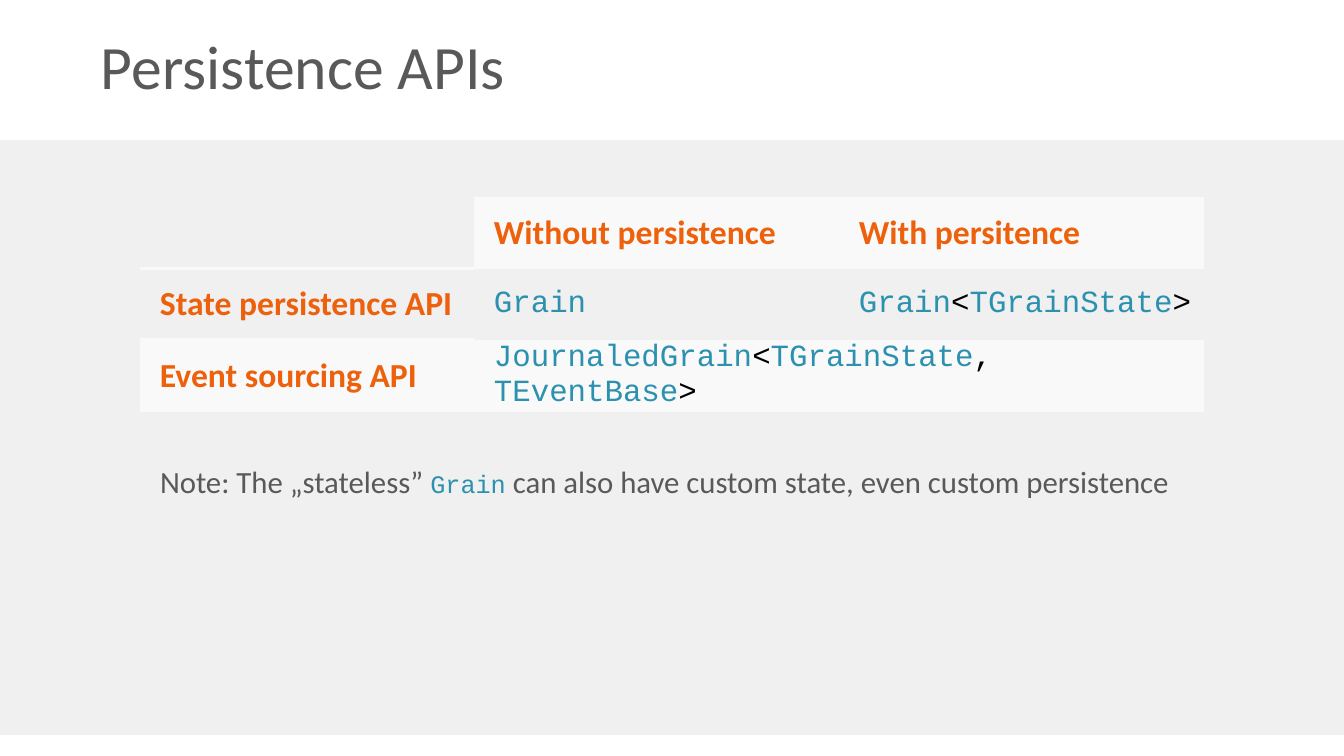
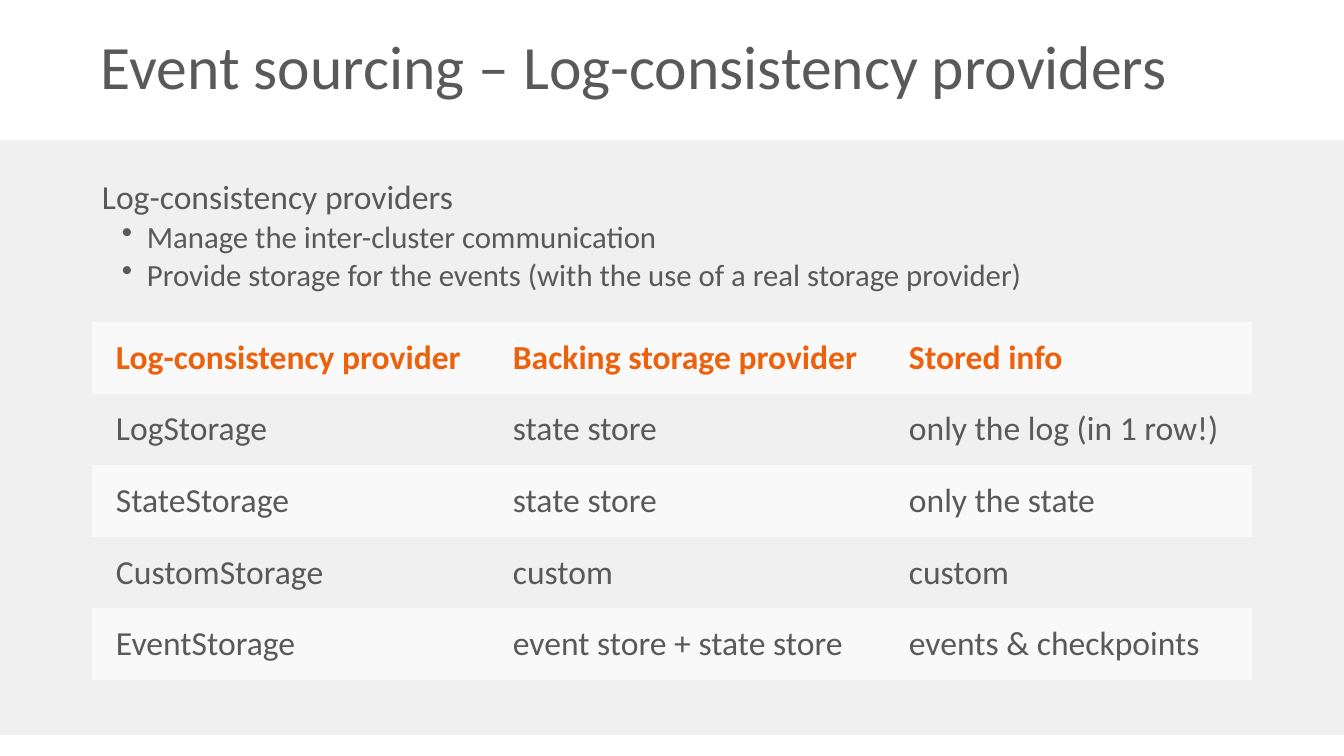
from dataclasses import dataclass

from lxml import etree
from pptx import Presentation
from pptx.dml.color import RGBColor
from pptx.enum.shapes import MSO_SHAPE
from pptx.enum.text import MSO_ANCHOR, MSO_AUTO_SIZE, PP_ALIGN
from pptx.oxml.ns import qn
from pptx.util import Emu, Pt

RECTANGLE = MSO_SHAPE.RECTANGLE
MIDDLE = MSO_ANCHOR.MIDDLE
LEFT = PP_ALIGN.LEFT
NO_AUTOFIT = MSO_AUTO_SIZE.NONE

PAGE_WIDTH, PAGE_HEIGHT = 1344, 756
EMU_PER_PIXEL = 12192000 / PAGE_WIDTH
TITLE_ONLY = 5
PLAIN_TABLE_STYLE = "{2D5ABB26-0587-4C30-8999-92F81FD0307C}"


@dataclass(frozen=True)
class TextStyle:
    """Font, size in points, colour and weight of a piece of text."""

    font: str
    size: int
    colour: str
    bold: bool = False


@dataclass(frozen=True)
class Theme:
    """Colours and text styles that the slides share."""

    page: str = "F0F0F0"
    band: str = "FFFFFF"
    stripe: str = "F9F9F9"
    title: TextStyle = TextStyle("Calibri", 44, "595959")
    body: TextStyle = TextStyle("Calibri", 24, "595959")
    detail: TextStyle = TextStyle("Calibri", 22, "595959")
    heading: TextStyle = TextStyle("Calibri", 24, "ED610C", True)
    type_name: TextStyle = TextStyle("Courier New", 22, "2B91AF")
    small_type_name: TextStyle = TextStyle("Courier New", 18, "2B91AF")
    symbol: TextStyle = TextStyle("Courier New", 22, "000000")


THEME = Theme()


def px(pixels):
    """Turn pixels into EMU."""
    return Emu(round(pixels * EMU_PER_PIXEL))


def paint(item, colour):
    """Give a shape, cell or background a solid fill."""
    item.fill.solid()
    item.fill.fore_color.rgb = RGBColor.from_string(colour)


def apply_style(font, style):
    """Set a font to a text style."""
    font.name = style.font
    font.size = Pt(style.size)
    font.bold = style.bold
    font.color.rgb = RGBColor.from_string(style.colour)


def write_para(para, *spans):
    """Fill a paragraph with (text, style) spans."""
    styles = {style for _, style in spans}
    if len(styles) == 1:
        apply_style(para.font, spans[0][1])
    for text, style in spans:
        span = para.add_run()
        span.text = text
        if len(styles) > 1:
            apply_style(span.font, style)


def set_margins(item, left, top, right, bottom):
    """Set the inner margins of a text frame or cell."""
    item.margin_left, item.margin_top = px(left), px(top)
    item.margin_right, item.margin_bottom = px(right), px(bottom)


def add_page(deck, title):
    """Add a slide with the title band and the footer band."""
    page = deck.slides.add_slide(deck.slide_layouts[TITLE_ONLY])
    footer = page.shapes.add_shape(RECTANGLE, 0, px(735), px(PAGE_WIDTH), px(21))
    footer.shadow.inherit = False
    paint(footer, THEME.band)
    footer.line.fill.background()

    heading = page.shapes.title
    heading.left, heading.top = 0, 0
    heading.width, heading.height = px(PAGE_WIDTH), px(140)
    paint(heading, THEME.band)
    frame = heading.text_frame
    frame.auto_size = NO_AUTOFIT
    frame.vertical_anchor = MIDDLE
    set_margins(frame, 101, 5, 10, 5)
    para = frame.paragraphs[0]
    para.alignment = LEFT
    para.line_spacing = 0.9
    write_para(para, (title, THEME.title))
    return page


def add_text(page, left, top, width, height, inset=10):
    """Add a wrapping text box and return its frame."""
    box = page.shapes.add_textbox(px(left), px(top), px(width), px(height))
    frame = box.text_frame
    frame.word_wrap = True
    set_margins(frame, inset, 5, 10, 5)
    return frame


def add_bullet(frame, text):
    """Add an indented bullet paragraph."""
    para = frame.add_paragraph()
    properties = para._p.get_or_add_pPr()
    properties.set("marL", str(px(45)))
    properties.set("indent", str(px(-25)))
    etree.SubElement(properties, qn("a:buChar"), char="•")
    para.line_spacing = 0.8
    para.space_before = Pt(6)
    write_para(para, (text, THEME.detail))


def add_table(page, left, top, widths, height, rows, margins):
    """Add a striped table; each cell is a list of spans."""
    shape = page.shapes.add_table(
        len(rows), len(widths), px(left), px(top), px(sum(widths)), px(height))
    table = shape.table
    table.first_row = table.horz_banding = False
    table._tbl.tblPr.find(qn("a:tableStyleId")).text = PLAIN_TABLE_STYLE
    for column, width in zip(table.columns, widths):
        column.width = px(width)
    for index, row in enumerate(rows):
        table.rows[index].height = px(height / len(rows))
        for column, spans in enumerate(row):
            cell = table.cell(index, column)
            cell.vertical_anchor = MIDDLE
            set_margins(cell, margins[0], 0, margins[1], 0)
            if index % 2 == 0:
                paint(cell, THEME.stripe)
            else:
                cell.fill.background()
            if spans:
                write_para(cell.text_frame.paragraphs[0], *spans)
    return table


def add_border(cell, edge, colour, points):
    """Draw one edge of a table cell."""
    line = etree.Element(qn(f"a:{edge}"), w=str(Pt(points)))
    fill = etree.SubElement(line, qn("a:solidFill"))
    etree.SubElement(fill, qn("a:srgbClr"), val=colour)
    cell._tc.get_or_add_tcPr().insert(0, line)


def generic_type(name, *arguments):
    """Return the coloured spans of a generic type."""
    spans = [(name, THEME.type_name)]
    for index, argument in enumerate(arguments):
        spans.append((", " if index else "<", THEME.symbol))
        spans.append((argument, THEME.type_name))
    if arguments:
        spans.append((">", THEME.symbol))
    return spans


def build_persistence_apis(deck):
    """Build the slide that compares the persistence APIs."""
    page = add_page(deck, "Persistence APIs")
    rows = [
        [[], [("Without persistence", THEME.heading)],
         [("With persitence", THEME.heading)]],
        [[("State persistence API", THEME.heading)], generic_type("Grain"),
         generic_type("Grain", "TGrainState")],
        [[("Event sourcing API", THEME.heading)],
         generic_type("JournaledGrain", "TGrainState", "TEventBase"), []],
    ]
    table = add_table(page, 140, 197, [334, 365, 365], 215, rows, (20, 7))
    table.cell(2, 1).merge(table.cell(2, 2))
    corner = table.cell(0, 0)
    corner.fill.background()
    add_border(corner, "lnB", THEME.stripe, 3)
    add_border(table.cell(1, 0), "lnT", THEME.stripe, 3)

    note = add_text(page, 140, 458, 1047, 47, inset=20)
    write_para(
        note.paragraphs[0],
        ("Note: The „stateless” ", THEME.detail),
        ("Grain", THEME.small_type_name),
        (" can also have custom state, even custom persistence", THEME.detail))


def build_log_consistency(deck):
    """Build the slide on log-consistency providers."""
    page = add_page(deck, "Event sourcing – Log-consistency providers")
    frame = add_text(page, 92, 171, 1160, 140)
    write_para(frame.paragraphs[0], ("Log-consistency providers", THEME.body))
    add_bullet(frame, "Manage the inter-cluster communication")
    add_bullet(frame, "Provide storage for the events "
                      "(with the use of a real storage provider)")

    headings = ["Log-consistency provider", "Backing storage provider", "Stored info"]
    providers = [
        ["LogStorage", "state store", "only the log (in 1 row!)"],
        ["StateStorage", "state store", "only the state"],
        ["CustomStorage", "custom", "custom"],
        ["EventStorage", "event store + state store", "events & checkpoints"],
    ]
    rows = [[[(text, THEME.heading)] for text in headings]]
    rows += [[[(text, THEME.body)] for text in provider] for provider in providers]
    add_table(page, 92, 322, [397, 396, 367], 358, rows, (24, 24))


def main():
    """Build and save the deck."""
    deck = Presentation()
    deck.slide_width, deck.slide_height = px(PAGE_WIDTH), px(PAGE_HEIGHT)
    paint(deck.slide_master.background, THEME.page)
    build_persistence_apis(deck)
    build_log_consistency(deck)
    deck.save("out.pptx")


main()
